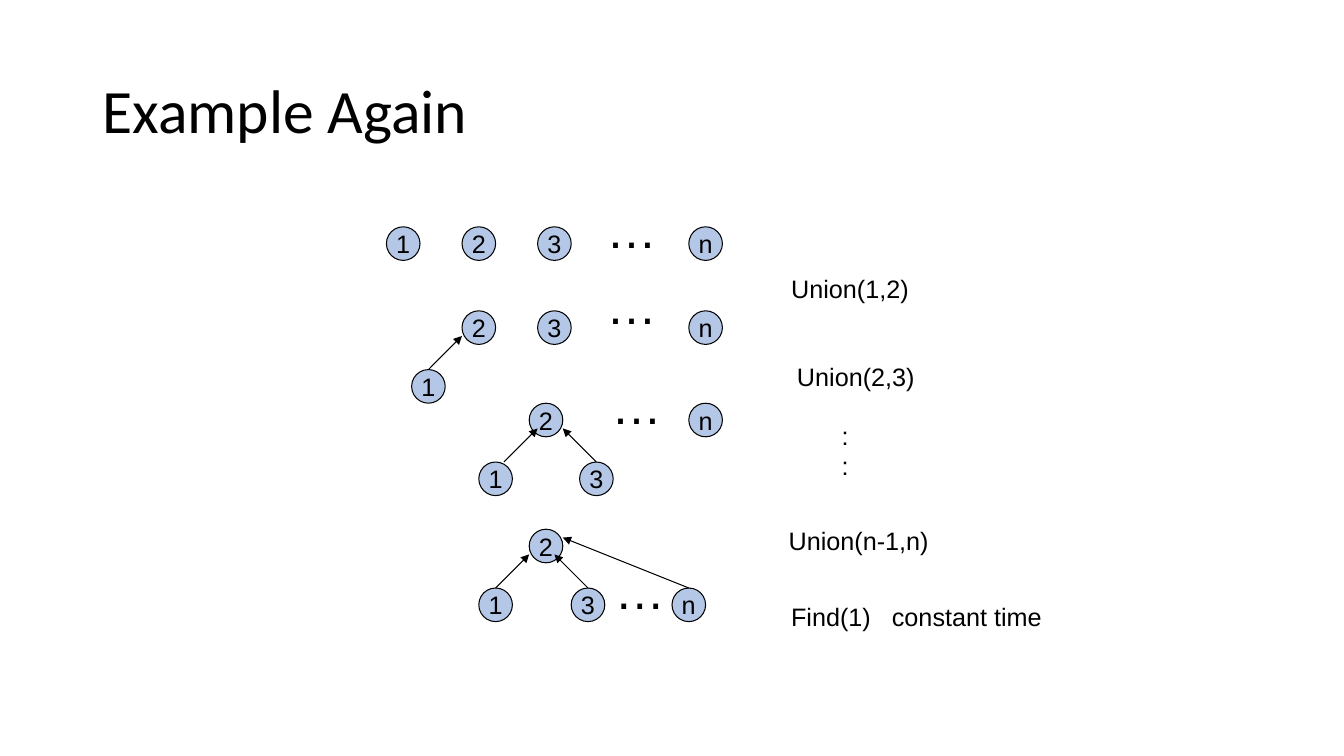
from lxml import etree
from pptx import Presentation
from pptx import util as u
from pptx.dml.color import RGBColor
from pptx.enum import shapes, text
from pptx.oxml import ns

BLACK = RGBColor(0x00, 0x00, 0x00)
BLUE = RGBColor(0xB4, 0xC7, 0xE7)
COLS, ROWS = 160, 90
UNIT = u.Inches(1) // 12
NODE = 4

STAGES = [
    dict(nodes=[("1", 46, 27), ("2", 55, 27), ("3", 64, 27), ("n", 82, 27)],
         edges=[], dots=(71, 23),
         notes=[(["Union(1,2)"], 93, 31.9, 16.4, 4.8)]),
    dict(nodes=[("1", 49, 44), ("2", 55, 37), ("3", 64, 37), ("n", 82, 37)],
         edges=[("1", 0, (55, 40))], dots=(71, 32),
         notes=[(["Union(2,3)"], 93.7, 42.4, 16.4, 4.8)]),
    dict(nodes=[("1", 57, 55), ("2", 63, 48), ("3", 69, 55), ("n", 82, 48)],
         edges=[("1", 1, (64, 51)), ("3", 0, (67, 51))], dots=(71.6, 44),
         notes=[([":", ":"], 99, 49.4, 3.2, 8.5)]),
    dict(nodes=[("1", 57, 70), ("2", 63, 63), ("3", 68, 70), ("n", 80, 70)],
         edges=[("1", 0, (63, 66)), ("3", 0, (66, 66)), ("n", 0, (67, 64))],
         dots=(72, 66),
         notes=[(["Union(n-1,n)"], 92.7, 61.9, 19.1, 4.8),
                (["Find(1)\tconstant time"], 93, 71, 32.5, 4.8)]),
]


class Board:
    """Draws titles, nodes, arrows and notes on one slide, in grid units."""

    def __init__(self, deck):
        self.slide = deck.slides.add_slide(deck.slide_layouts[5])
        self.font, self.size, self.line = "Arial", 18, 0.75

    def grid(self, *vals):
        return [round(v * UNIT) for v in vals]

    def say(self, para, words, size=None, font=None):
        run = para.add_run()
        run.text = words
        run.font.name = font or self.font
        run.font.size = u.Pt(size or self.size)
        run.font.color.rgb = BLACK

    def title(self, words, *box):
        head = self.slide.shapes.title
        head.left, head.top, head.width, head.height = self.grid(*box)
        head.text_frame.vertical_anchor = text.MSO_ANCHOR.MIDDLE
        para = head.text_frame.paragraphs[0]
        para.alignment = text.PP_ALIGN.LEFT
        para.line_spacing = 0.9
        self.say(para, words, 44, "Calibri")

    def node(self, group, name, col, row):
        oval = group.add_shape(shapes.MSO_SHAPE.OVAL, *self.grid(col, row, NODE, NODE))
        oval.shadow.inherit = False
        oval.fill.solid()
        oval.fill.fore_color.rgb = BLUE
        oval.line.color.rgb = BLACK
        oval.line.width = u.Pt(self.line)
        frame = oval.text_frame
        frame.word_wrap = False
        frame.vertical_anchor = text.MSO_ANCHOR.MIDDLE
        frame.paragraphs[0].alignment = text.PP_ALIGN.CENTER
        self.say(frame.paragraphs[0], name)
        return oval

    def arrow(self, group, child, shift, tip):
        start = child.left + child.width // 2 + shift * UNIT, child.top
        link = group.add_connector(shapes.MSO_CONNECTOR.STRAIGHT, *start, *self.grid(*tip))
        if not shift:
            link.begin_connect(child, 0)
        link.line.color.rgb = BLACK
        link.line.width = u.Pt(self.line)
        props = link._element.spPr
        etree.SubElement(props.get_or_add_ln(), ns.qn("a:tailEnd"), type="triangle")
        etree.SubElement(props, ns.qn("a:effectLst"))

    def note(self, group, lines, *box, size=None):
        frame = group.add_textbox(*self.grid(*box)).text_frame
        frame.word_wrap = False
        frame.auto_size = text.MSO_AUTO_SIZE.SHAPE_TO_FIT_TEXT
        for i, line in enumerate(lines):
            para = frame.add_paragraph() if i else frame.paragraphs[0]
            if "\t" in line:
                tabs = etree.SubElement(para._p.get_or_add_pPr(), ns.qn("a:tabLst"))
                etree.SubElement(tabs, ns.qn("a:tab"), pos=str(12 * UNIT), algn="l")
            self.say(para, line, size)

    def stage(self, nodes, edges, dots, notes):
        group = self.slide.shapes.add_group_shape().shapes
        ovals = {name: self.node(group, name, col, row) for name, col, row in nodes}
        for child, shift, tip in edges:
            self.arrow(group, ovals[child], shift, tip)
        self.note(group, ["…"], *dots, 8.4, 8.4, size=36)
        for note in notes:
            self.note(group, *note)


def main():
    deck = Presentation()
    deck.slide_width, deck.slide_height = COLS * UNIT, ROWS * UNIT
    board = Board(deck)
    board.title("Example Again", 11, 4.8, 138, 17.4)
    for stage in STAGES:
        board.stage(**stage)
    deck.save("out.pptx")


if __name__ == "__main__":
    main()
